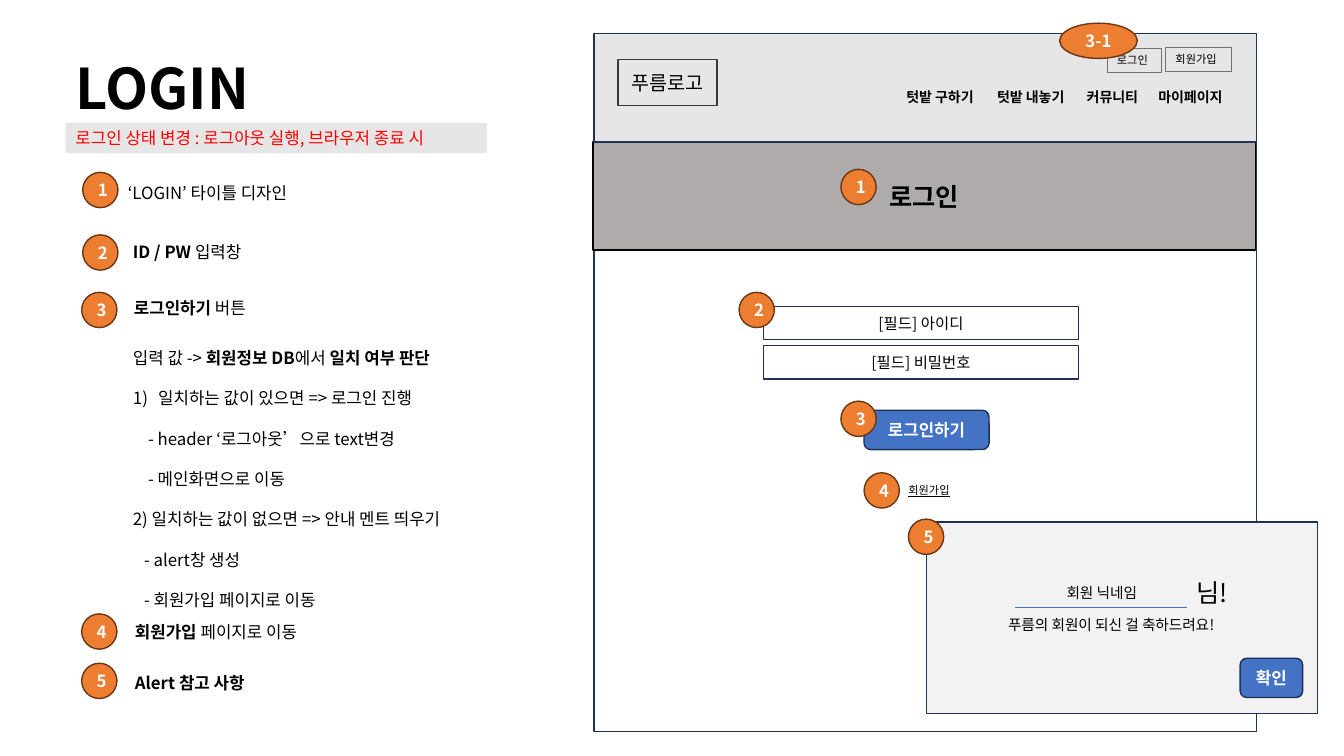
"""Build the login page wireframe slide with its numbered notes."""
from dataclasses import dataclass

from lxml.etree import SubElement
from pptx import Presentation
from pptx.dml.color import RGBColor
from pptx.enum.shapes import MSO_CONNECTOR, MSO_SHAPE
from pptx.enum.text import MSO_ANCHOR, MSO_AUTO_SIZE, PP_ALIGN
from pptx.oxml.ns import qn
from pptx.shapes.autoshape import Shape
from pptx.shapes.shapetree import GroupShapes, SlideShapes
from pptx.text.text import _Paragraph as Para
from pptx.util import Inches, Pt

Canvas = SlideShapes | GroupShapes
RECT, ROUND, OVAL = MSO_SHAPE.RECTANGLE, MSO_SHAPE.ROUNDED_RECTANGLE, MSO_SHAPE.OVAL


@dataclass(frozen=True)
class Theme:
    """Hold the font, colours and type sizes."""
    font: str = "Noto Sans CJK KR"
    black: str = "000000"
    white: str = "FFFFFF"
    red: str = "FF0000"
    navy: str = "1E3256"
    blue: str = "4472C4"
    orange: str = "ED7D31"
    brown: str = "683715"
    pale: str = "F2F2F2"
    light: str = "E7E6E6"
    mid: str = "AFABAB"
    grey: str = "767171"
    dark: str = "3B3838"
    tiny: float = 8
    menu: float = 10
    alert: float = 10.5
    field: float = 11
    body: float = 12
    logo: float = 14
    head: float = 18
    title: float = 40


T = Theme()


@dataclass(frozen=True)
class Box:
    """Describe a filled shape with centred text."""
    left: float
    top: float
    width: float
    height: float
    fill: str | None
    line: str | None = T.navy
    text: str = ""
    size: float = T.body
    ink: str = T.black
    bold: bool = False
    kind: MSO_SHAPE = RECT
    weight: float = 1
    fit: bool = False


@dataclass(frozen=True)
class Label:
    """Describe a text box whose starred parts are bold."""
    left: float
    top: float
    width: float
    height: float
    text: str
    size: float = T.body
    under: bool = False


@dataclass(frozen=True)
class Step:
    """Describe one line of the login steps."""
    text: str
    indent: float = 0
    number: bool = False


def color(code: str) -> RGBColor:
    """Turn a hex code into a colour."""
    return RGBColor.from_string(code)


def style(para: Para, size: float, ink: str, under: bool = False) -> None:
    """Format every run of a paragraph."""
    for run in para.runs:
        run.font.size = Pt(size)
        run.font.name = T.font
        run.font.color.rgb = color(ink)
        if under:
            run.font.underline = True
        SubElement(run.font._element, qn("a:ea"), typeface=T.font)


def write(para: Para, text: str, size: float, under: bool = False) -> None:
    """Write text, with the parts between stars in bold."""
    for place, part in enumerate(text.split("*")):
        if part:
            run = para.add_run()
            run.text = part
            run.font.bold = place % 2 == 1
    style(para, size, T.black, under)


def draw_box(canvas: Canvas, box: Box) -> Shape:
    """Draw a filled shape and its text."""
    shape = canvas.add_shape(box.kind, Inches(box.left), Inches(box.top),
                             Inches(box.width), Inches(box.height))
    shape.shadow.inherit = False
    if box.fill:
        shape.fill.solid()
        shape.fill.fore_color.rgb = color(box.fill)
    else:
        shape.fill.background()
    if box.line:
        shape.line.color.rgb = color(box.line)
        shape.line.width = Pt(box.weight)
    else:
        shape.line.fill.background()
    if box.text:
        frame = shape.text_frame
        frame.text = box.text
        frame.word_wrap = not box.fit
        frame.vertical_anchor = MSO_ANCHOR.TOP if box.fit else MSO_ANCHOR.MIDDLE
        if box.fit:
            frame.auto_size = MSO_AUTO_SIZE.SHAPE_TO_FIT_TEXT
        para = frame.paragraphs[0]
        para.alignment = PP_ALIGN.LEFT if box.fit else PP_ALIGN.CENTER
        para.font.bold = box.bold
        for run in para.runs:
            run.font.bold = box.bold
        style(para, box.size, box.ink)
    return shape


def draw_label(canvas: Canvas, label: Label) -> None:
    """Draw a single line of text."""
    shape = canvas.add_textbox(Inches(label.left), Inches(label.top),
                               Inches(label.width), Inches(label.height))
    frame = shape.text_frame
    frame.word_wrap = False
    frame.auto_size = MSO_AUTO_SIZE.SHAPE_TO_FIT_TEXT
    write(frame.paragraphs[0], label.text, label.size, label.under)


def draw_steps(canvas: Canvas, steps: list[Step]) -> None:
    """Draw the login steps with double line spacing."""
    frame = canvas.add_textbox(Inches(1.22), Inches(3.2), Inches(4.62), Inches(3.27)).text_frame
    frame.word_wrap = True
    for place, step in enumerate(steps):
        para = frame.add_paragraph() if place else frame.paragraphs[0]
        write(para, step.text, T.body)
        para.line_spacing = 2.0
        props = para._p.get_or_add_pPr()
        props.set("marL", str(Inches(step.indent)))
        if step.number:
            props.set("indent", str(-Inches(step.indent)))
            SubElement(props, qn("a:buAutoNum"), type="arabicParenR")


def draw_badge(canvas: Canvas, left: float, top: float, text: str, width: float = 0.35) -> None:
    """Draw an orange number badge."""
    draw_box(canvas, Box(left, top, width, 0.35, T.orange, T.brown, text,
                         ink=T.white, bold=True, kind=OVAL))


def draw_alert(canvas: Canvas) -> None:
    """Draw the welcome alert as one group."""
    group = canvas.add_group_shape().shapes
    draw_box(group, Box(9.19, 5.18, 3.88, 1.9, T.pale))
    draw_box(group, Box(12.3, 6.53, 0.62, 0.39, T.blue, text="확인",
                        ink=T.white, bold=True, kind=ROUND))
    rule = group.add_connector(MSO_CONNECTOR.STRAIGHT, Inches(10.07), Inches(6.03),
                               Inches(11.77), Inches(6.03))
    rule.line.color.rgb = color(T.blue)
    rule.line.width = Pt(0.5)
    SubElement(rule._element.spPr, qn("a:effectLst"))
    for label in (Label(11.77, 5.68, 0.53, 0.4, "님!", T.head),
                  Label(9.9, 6.06, 2.52, 0.28, "푸름의 회원이 되신 걸 축하드려요!", T.alert),
                  Label(10.48, 5.74, 0.99, 0.28, "회원 닉네임", T.alert)):
        draw_label(group, label)


BOXES = [
    Box(5.89, 0.52, 6.57, 6.74, T.white),
    Box(5.88, 1.41, 6.57, 1.07, T.mid, T.black, "로그인", T.head, bold=True),
    Box(5.89, 0.33, 6.57, 1.08, T.light),
    Box(6.13, 0.59, 0.98, 0.46, None, T.dark, "푸름로고", T.logo),
    Box(10.98, 0.48, 0.54, 0.24, T.light, T.grey, "로그인", T.tiny, weight=0.75, fit=True),
    Box(11.56, 0.47, 0.65, 0.24, T.light, T.grey, "회원가입", T.tiny, weight=0.75, fit=True),
    Box(7.57, 3.04, 3.13, 0.33, T.white, text="[필드] 아이디", size=T.field),
    Box(7.57, 3.43, 3.13, 0.33, T.white, text="[필드] 비밀번호", size=T.field),
    Box(8.57, 4.07, 1.24, 0.39, T.blue, text="로그인하기", ink=T.white, bold=True, kind=ROUND),
    Box(0.65, 1.22, 4.18, 0.3, T.light, None,
        "로그인 상태 변경 : 로그아웃 실행, 브라우저 종료 시", ink=T.red, fit=True),
]
LABELS = [
    Label(0.65, 0.48, 1.93, 0.77, "*LOGIN*", T.title),
    Label(1.17, 1.76, 1.9, 0.3, "‘LOGIN’ 타이틀 디자인"),
    Label(1.22, 2.35, 1.41, 0.3, "*ID / PW *입력창"),
    Label(1.23, 2.9, 1.44, 0.3, "*로그인하기 *버튼"),
    Label(1.24, 6.12, 2, 0.3, "*회원가입 *페이지로 이동"),
    Label(1.24, 6.62, 1.39, 0.3, "*Alert 참고 사항*"),
    Label(8.91, 4.75, 0.65, 0.24, "회원가입", T.tiny, True),
    Label(8.89, 0.83, 0.95, 0.27, "*텃밭 구하기*", T.menu),
    Label(9.79, 0.83, 0.95, 0.27, "*텃밭 내놓기*", T.menu),
    Label(10.68, 0.83, 0.76, 0.27, "*커뮤니티*", T.menu),
    Label(11.39, 0.83, 0.9, 0.27, "*마이페이지*", T.menu),
]
STEPS = [
    Step("입력 값 -> *회원정보 DB*에서* 일치 여부 판단*"),
    Step("일치하는 값이 있으면 => 로그인 진행", 0.25, True),
    Step("- header ‘로그아웃’으로 text변경", 0.15),
    Step("- 메인화면으로 이동", 0.15),
    Step("2) 일치하는 값이 없으면 => 안내 멘트 띄우기"),
    Step("- alert창 생성", 0.11),
    Step("- 회원가입 페이지로 이동", 0.11),
]
NOTES = [(0.82, 1.71), (0.82, 2.33), (0.81, 2.9), (0.81, 6.09), (0.81, 6.58)]
MARKS = [(8.34, 1.68), (7.33, 2.9), (8.34, 3.98), (8.57, 4.69), (9.01, 5.15)]


def main() -> None:
    """Build and save the slide."""
    deck = Presentation()
    deck.slide_width, deck.slide_height = Inches(13.33), Inches(7.5)
    canvas = deck.slides.add_slide(deck.slide_layouts[6]).shapes
    for box in BOXES:
        draw_box(canvas, box)
    for label in LABELS:
        draw_label(canvas, label)
    draw_steps(canvas, STEPS)
    draw_alert(canvas)
    for spots in (NOTES, MARKS):
        for count, (left, top) in enumerate(spots, 1):
            draw_badge(canvas, left, top, str(count))
    draw_badge(canvas, 10.51, 0.23, "3-1", 0.77)
    deck.save("out.pptx")


if __name__ == "__main__":
    main()
